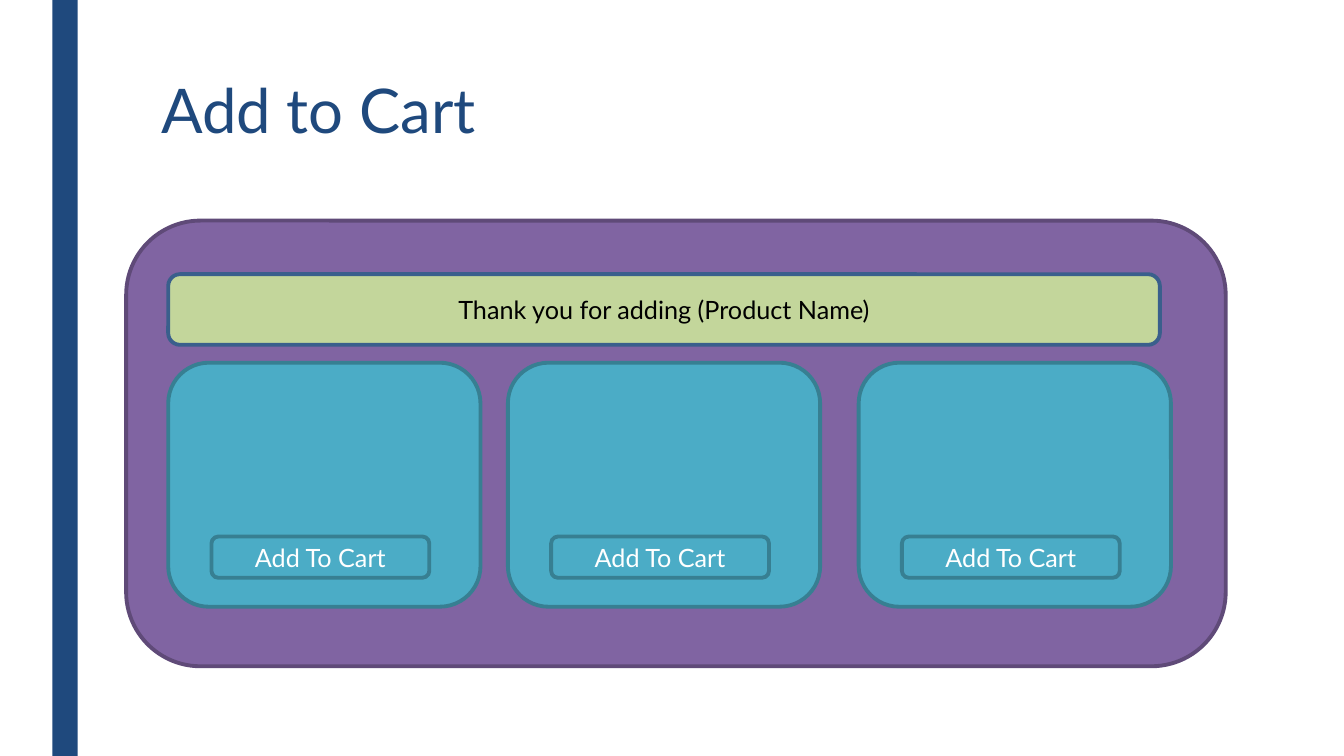
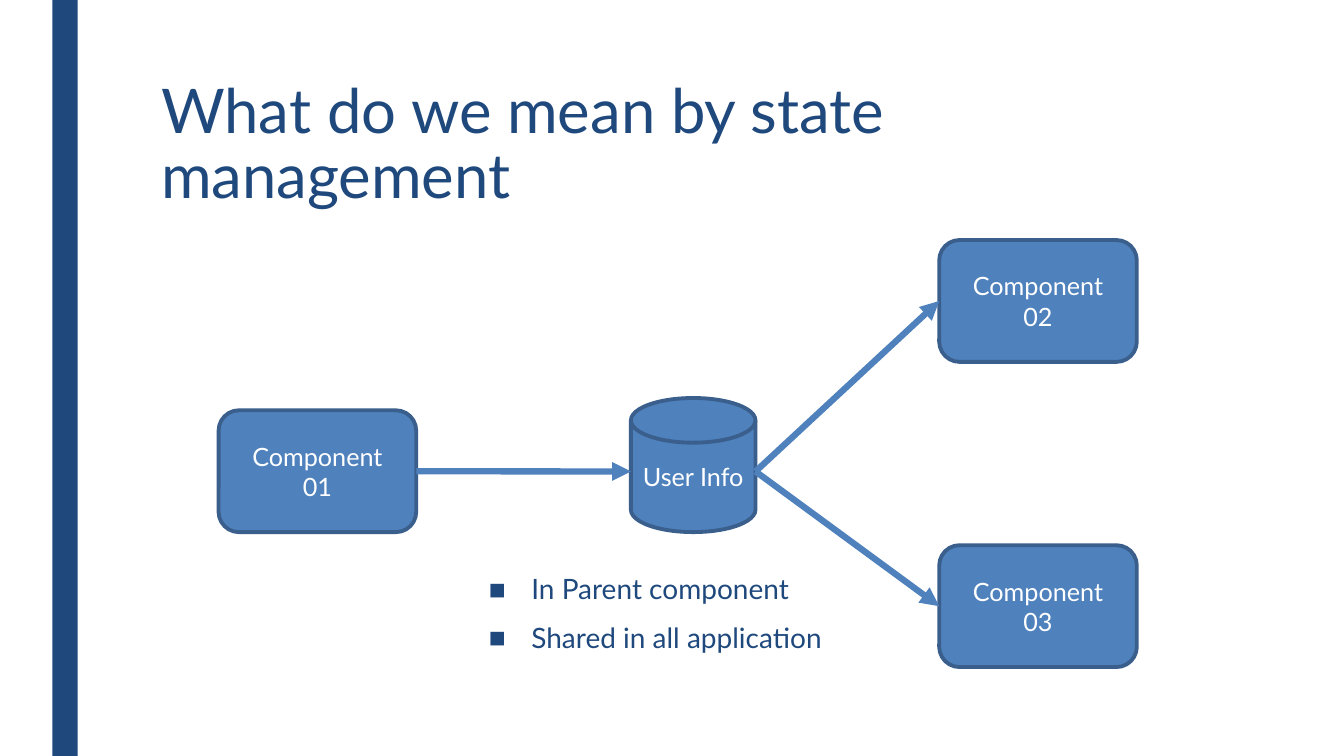
from dataclasses import dataclass

from lxml import etree
from pptx import Presentation
from pptx.dml.color import RGBColor
from pptx.enum.shapes import MSO_CONNECTOR, MSO_SHAPE
from pptx.enum.text import MSO_ANCHOR, MSO_AUTO_SIZE, PP_ALIGN
from pptx.oxml.ns import qn
from pptx.util import Cm, Pt

RECTANGLE = MSO_SHAPE.RECTANGLE
ROUNDED = MSO_SHAPE.ROUNDED_RECTANGLE
DISK = MSO_SHAPE.FLOWCHART_MAGNETIC_DISK
STRAIGHT = MSO_CONNECTOR.STRAIGHT
LEFT, CENTER = PP_ALIGN.LEFT, PP_ALIGN.CENTER
TOP, MIDDLE = MSO_ANCHOR.TOP, MSO_ANCHOR.MIDDLE
NO_AUTOFIT = MSO_AUTO_SIZE.NONE
LEFT_SIDE, RIGHT_SIDE = 1, 3
TITLE_ONLY, TITLE_AND_BODY = 5, 1
SLIDE_WIDTH, SLIDE_HEIGHT = 33.87, 19.05


@dataclass(frozen=True)
class Theme:
    font: str = "Lato"
    navy: str = "1F497D"
    white: str = "FFFFFF"
    black: str = "000000"
    blue: tuple = ("4F81BD", "3A5F8C")
    teal: tuple = ("4BACC6", "377F92")
    purple: tuple = ("8064A2", "5F4A78")
    green: tuple = ("C3D69B", "3A5F8C")
    title_size: float = 44
    body_size: float = 20
    label_size: float = 18
    outline: float = 2.75
    arrow: float = 4.5


def color(value):
    return RGBColor.from_string(value)


def add_bullet(paragraph, character, indent):
    properties = paragraph._p.get_or_add_pPr()
    properties.set("marL", str(Cm(indent)))
    properties.set("indent", str(-Cm(indent)))
    etree.SubElement(properties, qn("a:buFont")).set("typeface", "Arial")
    etree.SubElement(properties, qn("a:buChar")).set("char", character)


def write(frame, text, *, font, size, fill, align=LEFT, anchor=TOP, margin=0.25,
          line_spacing=None, before=0, after=0, bullet=None, indent=1.07):
    frame.word_wrap = True
    frame.auto_size = NO_AUTOFIT
    frame.vertical_anchor = anchor
    frame.margin_left = frame.margin_right = Cm(margin)
    frame.margin_top = frame.margin_bottom = Cm(0.13)
    frame.text = text
    for index, paragraph in enumerate(frame.paragraphs):
        if bullet:
            add_bullet(paragraph, bullet, indent)
        paragraph.alignment = align
        paragraph.line_spacing = line_spacing
        paragraph.space_before = Pt(before if index else 0)
        paragraph.space_after = Pt(after)
        paragraph.font.name = font
        paragraph.font.size = Pt(size)
        paragraph.font.color.rgb = color(fill)


class Deck:
    def __init__(self, theme):
        self.theme = theme
        self.presentation = Presentation()
        self.presentation.slide_width = Cm(SLIDE_WIDTH)
        self.presentation.slide_height = Cm(SLIDE_HEIGHT)
        self.slide = None

    def start_slide(self, title, layout):
        layouts = self.presentation.slide_layouts
        self.slide = self.presentation.slides.add_slide(layouts[layout])
        self.block(RECTANGLE, (1.32, 0, 0.64, SLIDE_HEIGHT), (self.theme.navy, None))
        self.placeholder(self.slide.shapes.title, (3.81, 1.9, 26.67, 4.11), title,
                         size=self.theme.title_size, line_spacing=0.89)

    def placeholder(self, shape, box, text, **style):
        shape.left, shape.top, shape.width, shape.height = map(Cm, box)
        write(shape.text_frame, text, font=self.theme.font, fill=self.theme.navy, **style)

    def bullets(self, box, items):
        self.placeholder(self.slide.placeholders[1], box, "\n".join(items),
                         size=self.theme.body_size, line_spacing=0.94,
                         before=10, after=2, bullet="■")

    def block(self, kind, box, colors, text=None, parent=None, text_color=None, margin=0.25):
        shapes = (parent or self.slide).shapes
        shape = shapes.add_shape(kind, *map(Cm, box))
        shape.shadow.inherit = False
        fill, outline = colors
        shape.fill.solid()
        shape.fill.fore_color.rgb = color(fill)
        if outline:
            shape.line.color.rgb = color(outline)
            shape.line.width = Pt(self.theme.outline)
        else:
            shape.line.fill.background()
        if text:
            write(shape.text_frame, text, font=self.theme.font, size=self.theme.label_size,
                  fill=text_color or self.theme.white, align=CENTER, anchor=MIDDLE,
                  margin=margin)
        return shape

    def product_card(self, left, top):
        group = self.slide.shapes.add_group_shape()
        self.block(ROUNDED, (left, top, 7.87, 6.15), self.theme.teal, parent=group)
        self.block(ROUNDED, (left + 1.09, top + 4.38, 5.49, 1.04), self.theme.teal,
                   "Add To Cart", parent=group)

    def component(self, number, left, top):
        return self.block(ROUNDED, (left, top, 4.98, 3.07), self.theme.blue,
                          f"Component {number}", margin=0.4)

    def arrow(self, start, end, source=None, target=None):
        connector = self.slide.shapes.add_connector(STRAIGHT, *map(Cm, start + end))
        if source:
            connector.begin_connect(source, RIGHT_SIDE)
        if target:
            connector.end_connect(target, LEFT_SIDE)
        connector.line.color.rgb = color(self.theme.blue[0])
        connector.line.width = Pt(self.theme.arrow)
        etree.SubElement(connector.line._get_or_add_ln(), qn("a:tailEnd")).set("type", "triangle")
        etree.SubElement(connector._element.spPr, qn("a:effectLst"))


def build_cart_slide(deck):
    theme = deck.theme
    deck.start_slide("Add to Cart", TITLE_ONLY)
    deck.block(ROUNDED, (3.18, 5.56, 27.71, 11.23), theme.purple)
    deck.block(ROUNDED, (4.24, 6.91, 24.99, 1.78), theme.green,
               "Thank you for adding (Product Name)", text_color=theme.black)
    for left in (4.24, 12.8, 21.64):
        deck.product_card(left, 9.14)


def build_state_slide(deck):
    deck.start_slide("What do we mean by state management", TITLE_AND_BODY)
    deck.block(DISK, (15.9, 10.03, 3.14, 3.38), deck.theme.blue, "User Info", margin=0.2)
    source = deck.component("01", 5.51, 10.34)
    axis = 11.88
    deck.arrow((10.49, axis), (15.9, axis), source=source)
    for number, top in (("02", 6.05), ("03", 13.74)):
        target = deck.component(number, 23.67, top)
        deck.arrow((19.04, axis), (23.67, top + 1.53), target=target)
    deck.bullets((12.07, 14.35, 9.3, 3.07), ("In Parent component", "Shared in all application"))


def main():
    deck = Deck(Theme())
    build_cart_slide(deck)
    build_state_slide(deck)
    deck.presentation.save("out.pptx")


if __name__ == "__main__":
    main()
